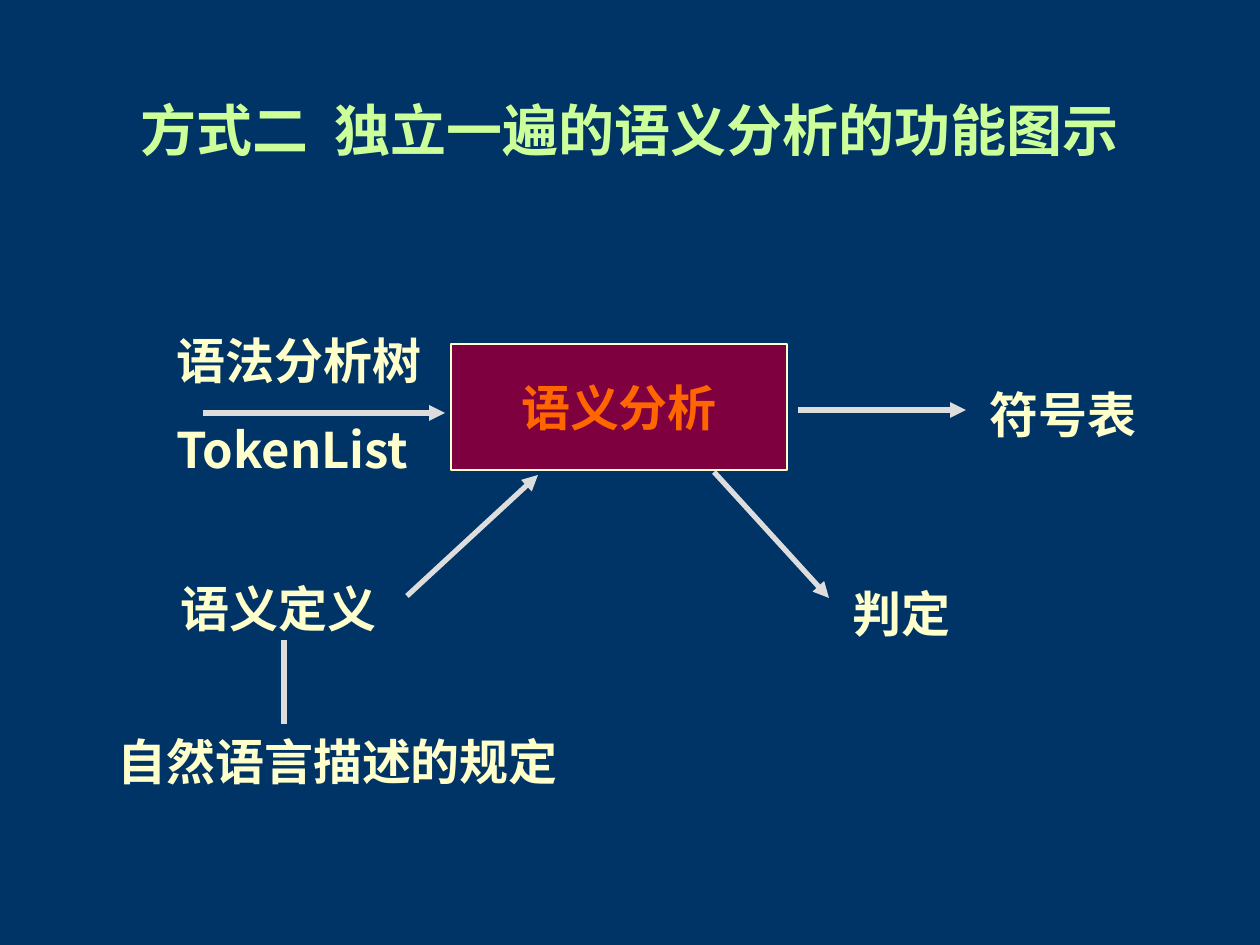
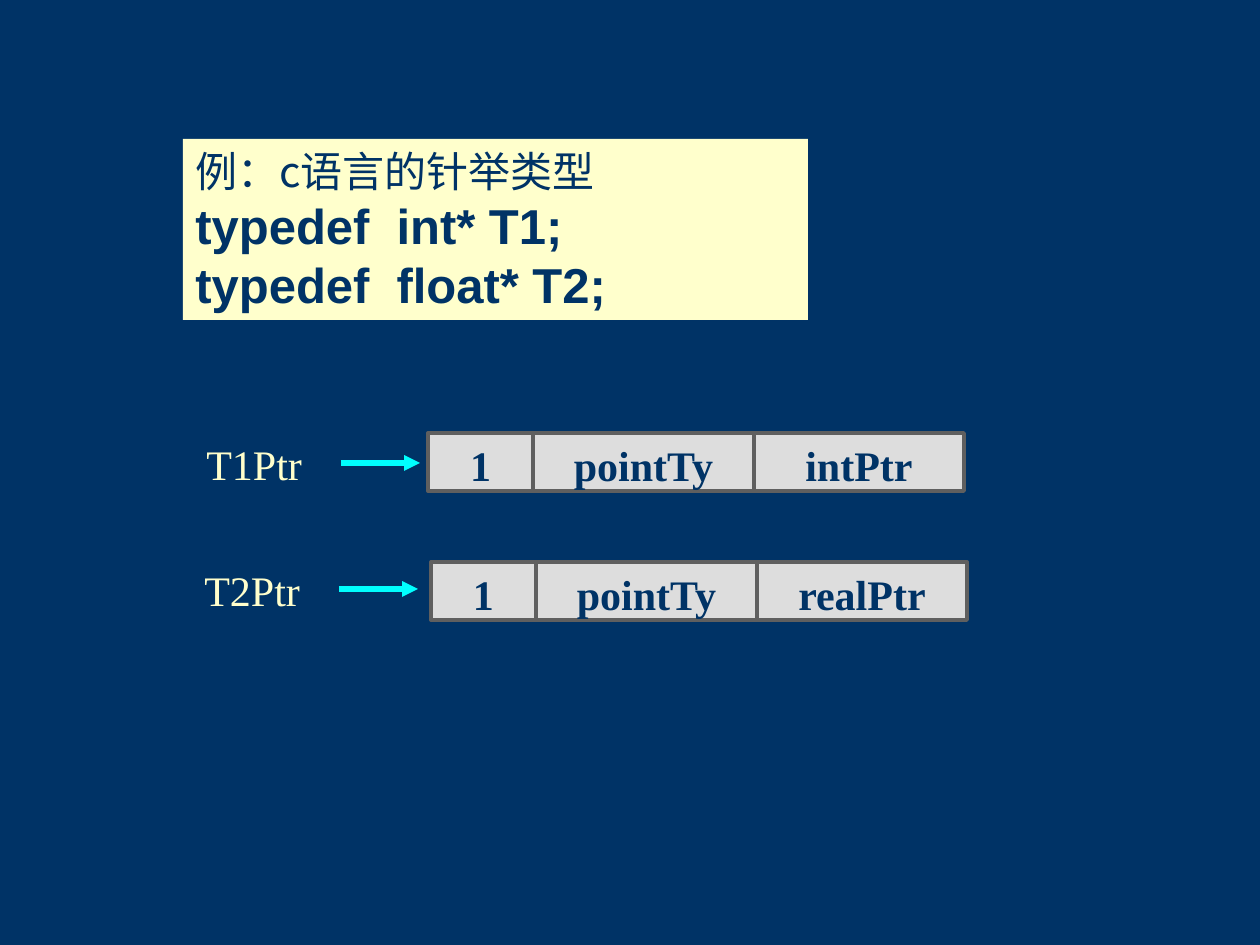
from dataclasses import dataclass

from lxml.etree import SubElement
from pptx import Presentation
from pptx.dml.color import RGBColor
from pptx.enum.shapes import MSO_CONNECTOR, MSO_SHAPE
from pptx.enum.text import MSO_ANCHOR, PP_ALIGN
from pptx.oxml.ns import qn
from pptx.util import Inches, Pt


@dataclass(frozen=True)
class Theme:
    navy: str = "003366"
    cream: str = "FFFFCC"
    lime: str = "CCFF99"
    maroon: str = "7E003F"
    orange: str = "FF6600"
    silver: str = "DDDDDD"
    gray: str = "5F5F5F"
    cyan: str = "00FFFF"
    title_size: int = 32
    label_size: int = 28
    body_size: int = 24
    chinese: str = "Noto Sans CJK SC"
    serif: str = "Times New Roman"
    sans: str = "Arial"


THEME = Theme()
SLIDE_SIZE = (1260, 945)

TITLE = ("方式二  独立一遍的语义分析的功能图示", (64, 55, 1132, 158))
ANALYSIS = ("语义分析", (451, 344, 336, 126))
FLOW_LABELS = [
    ("语法分析树", (164, 324, 284, 72)),
    ("TokenList", (164, 413, 262, 131)),
    ("语义定义", (168, 572, 284, 72)),
    ("自然语言描述的规定", (105, 725, 475, 72)),
    ("符号表", (977, 378, 231, 72)),
    ("判定", (840, 577, 189, 72)),
]
FLOW_ARROWS = [
    (203, 413, 445, 413),
    (407, 596, 538, 475),
    (798, 410, 966, 410),
    (714, 472, 829, 598),
]
DEFINITION_LINK = (284, 640, 284, 724)

EXAMPLE_BOX = (183, 139, 625, 181)
EXAMPLE_HEADING = "例：c语言的针举类型"
EXAMPLE_CODE = ["typedef  int* T1;", "typedef  float* T2;"]

CELL_WIDTHS = (105, 221, 210)
CELL_HEIGHT = 58
POINTER_RECORDS = [
    ("T1Ptr", (194, 432), (341, 463), (428, 433), ("1", "pointTy", "intPtr")),
    ("T2Ptr", (192, 558), (339, 589), (431, 562), ("1", "pointTy", "realPtr")),
]
POINTER_LABEL_SIZE = (139, 63)
POINTER_ARROW_LENGTH = 79


def px(value):
    return round(value * Inches(1) / 126)


def color(code):
    return RGBColor.from_string(code)


def write(shape, text, *, size, ink, font=THEME.chinese, bold=False,
          align=PP_ALIGN.LEFT, anchor=MSO_ANCHOR.TOP, before=0,
          spacing=None, wrap=True, append=False):
    frame = shape.text_frame
    frame.word_wrap = wrap
    frame.vertical_anchor = anchor
    paragraph = frame.add_paragraph() if append else frame.paragraphs[0]
    paragraph.alignment = align
    paragraph.space_before = Pt(before)
    if spacing:
        paragraph.line_spacing = spacing
    run = paragraph.add_run()
    run.text = text
    run.font.size = Pt(size)
    run.font.name = font
    run.font.bold = bold
    run.font.color.rgb = color(ink)
    properties = run.font.color and run._r.get_or_add_rPr()
    SubElement(properties, qn("a:ea"), typeface=THEME.chinese)


def add_label(slide, text, box, **format):
    label = slide.shapes.add_textbox(*map(px, box))
    write(label, text, **format)


def add_box(shapes, box, fill, line=None, weight=0):
    shape = shapes.add_shape(MSO_SHAPE.RECTANGLE, *map(px, box))
    shape.shadow.inherit = False
    shape.fill.solid()
    shape.fill.fore_color.rgb = color(fill)
    if line:
        shape.line.color.rgb = color(line)
        shape.line.width = Pt(weight)
    else:
        shape.line.fill.background()
    return shape


def add_line(slide, ends, ink, arrow=True):
    connector = slide.shapes.add_connector(MSO_CONNECTOR.STRAIGHT, *map(px, ends))
    connector.line.color.rgb = color(ink)
    connector.line.width = Pt(3)
    properties = connector.element.spPr
    if arrow:
        SubElement(properties.find(qn("a:ln")), qn("a:tailEnd"), type="triangle")
    SubElement(properties, qn("a:effectLst"))


def build_flow_slide(slide):
    title, title_box = TITLE
    add_label(slide, title, title_box, size=THEME.title_size, ink=THEME.lime,
              font=THEME.serif, bold=True, align=PP_ALIGN.CENTER,
              anchor=MSO_ANCHOR.MIDDLE, spacing=0.85)
    name, analysis_box = ANALYSIS
    analysis = add_box(slide.shapes, analysis_box, THEME.maroon, THEME.cream, 0.75)
    write(analysis, name, size=THEME.label_size, ink=THEME.orange, bold=True,
          align=PP_ALIGN.CENTER, anchor=MSO_ANCHOR.MIDDLE, wrap=False)
    for text, box in FLOW_LABELS:
        add_label(slide, text, box, size=THEME.label_size, ink=THEME.cream,
                  bold=True, before=17.5)
    for ends in FLOW_ARROWS:
        add_line(slide, ends, THEME.silver)
    add_line(slide, DEFINITION_LINK, THEME.silver, arrow=False)


def add_record(slide, left, top, fields):
    group = slide.shapes.add_group_shape()
    for field, width in zip(fields, CELL_WIDTHS):
        cell = add_box(group.shapes, (left, top, width, CELL_HEIGHT),
                       THEME.silver, THEME.gray, 2.25)
        write(cell, field, size=THEME.body_size, ink=THEME.navy, font=THEME.serif,
              bold=True, align=PP_ALIGN.CENTER, before=6)
        left += width


def build_pointer_slide(slide):
    example = add_box(slide.shapes, EXAMPLE_BOX, THEME.cream)
    write(example, EXAMPLE_HEADING, size=THEME.body_size, ink=THEME.navy,
          anchor=MSO_ANCHOR.MIDDLE)
    for code in EXAMPLE_CODE:
        write(example, code, size=THEME.label_size, ink=THEME.navy, font=THEME.sans,
              bold=True, anchor=MSO_ANCHOR.MIDDLE, append=True)
    for name, label_at, (x, y), record_at, fields in POINTER_RECORDS:
        add_record(slide, *record_at, fields)
        add_label(slide, name, label_at + POINTER_LABEL_SIZE, size=THEME.body_size,
                  ink=THEME.cream, font=THEME.serif)
        add_line(slide, (x, y, x + POINTER_ARROW_LENGTH, y), THEME.cyan)


def main():
    presentation = Presentation()
    presentation.slide_width, presentation.slide_height = map(px, SLIDE_SIZE)
    background = presentation.slide_master.background.fill
    background.solid()
    background.fore_color.rgb = color(THEME.navy)
    blank = presentation.slide_layouts[6]
    for build in (build_flow_slide, build_pointer_slide):
        build(presentation.slides.add_slide(blank))
    presentation.save("out.pptx")


if __name__ == "__main__":
    main()
